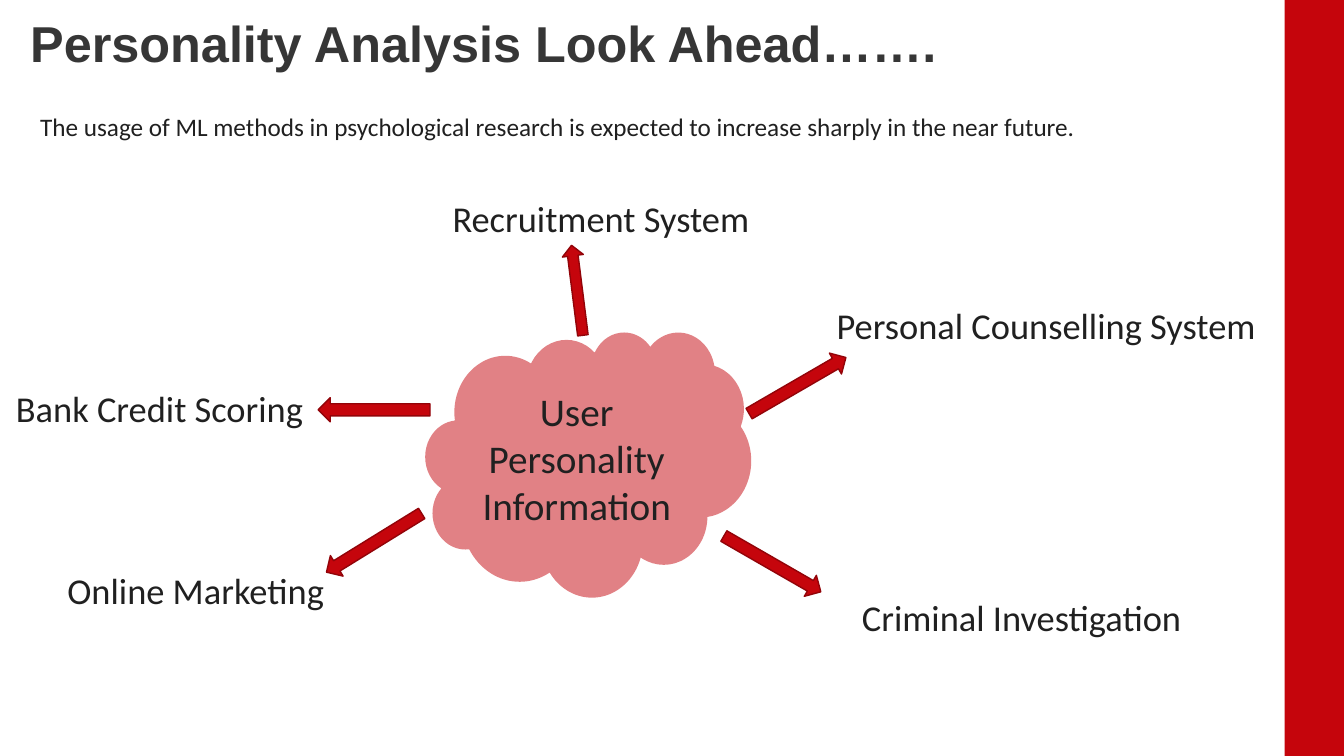
from dataclasses import dataclass

from lxml import etree
from pptx import Presentation
from pptx.dml.color import RGBColor
from pptx.enum.shapes import MSO_SHAPE
from pptx.enum.text import MSO_ANCHOR, PP_ALIGN
from pptx.oxml.ns import qn
from pptx.shapes.autoshape import Shape
from pptx.slide import Slide
from pptx.text.text import TextFrame
from pptx.util import Emu, Pt

PX = 9144  # 100 px to the inch
SLIDE_WIDTH, SLIDE_HEIGHT = 1333, 750
TITLE_ONLY_LAYOUT = 5

RED = RGBColor(0xC5, 0x05, 0x0C)
DARK_RED = RGBColor(0x92, 0x04, 0x09)
TITLE_GREY = RGBColor(0x36, 0x36, 0x36)
TEXT_GREY = RGBColor(0x20, 0x20, 0x20)

RECTANGLE, CLOUD, UP_ARROW = MSO_SHAPE.RECTANGLE, MSO_SHAPE.CLOUD, MSO_SHAPE.UP_ARROW
TOP, MIDDLE = MSO_ANCHOR.TOP, MSO_ANCHOR.MIDDLE
LEFT, CENTER = PP_ALIGN.LEFT, PP_ALIGN.CENTER


@dataclass(frozen=True)
class Box:
    left: int
    top: int
    width: int
    height: int

    def emu(self) -> tuple[Emu, Emu, Emu, Emu]:
        return (Emu(self.left * PX), Emu(self.top * PX),
                Emu(self.width * PX), Emu(self.height * PX))


@dataclass(frozen=True)
class Label:
    text: str
    box: Box
    size: int = 26


@dataclass(frozen=True)
class Arrow:
    box: Box
    rotation: float


LABELS = [
    Label("Recruitment System", Box(439, 190, 317, 54)),
    Label("Personal Counselling System", Box(820, 296, 440, 54)),
    Label("Online Marketing", Box(57, 559, 278, 54)),
    Label("Criminal Investigation", Box(845, 586, 341, 54)),
    Label("Bank Credit Scoring", Box(6, 378, 308, 54)),
    Label("The usage of ML methods in psychological research is expected "
          "to increase sharply in the near future.", Box(30, 106, 1053, 71), 18),
]

ARROWS = [
    Arrow(Box(359, 351, 24, 111), 270),
    Arrow(Box(754, 504, 24, 111), 119.9),
    Arrow(Box(359, 483, 24, 111), 238.3),
    Arrow(Box(562, 243, 21, 90), 352.8),
    Arrow(Box(779, 327, 24, 111), 59.9),
]


def write_text(frame: TextFrame, text: str, size: int, alignment: PP_ALIGN) -> None:
    frame.text = text
    paragraph = frame.paragraphs[0]
    paragraph.alignment = alignment
    paragraph.font.name = "Calibri"
    paragraph.font.size = Pt(size)
    paragraph.font.color.rgb = TEXT_GREY


def add_red_shape(slide: Slide, kind: MSO_SHAPE, box: Box) -> Shape:
    shape = slide.shapes.add_shape(kind, *box.emu())
    shape.shadow.inherit = False
    shape.fill.solid()
    shape.fill.fore_color.rgb = RED
    shape.line.fill.background()
    return shape


def format_title(slide: Slide) -> None:
    title = slide.shapes.title
    title.left, title.top, title.width, title.height = Box(30, 12, 1192, 111).emu()
    frame = title.text_frame
    frame.text = "Personality Analysis Look Ahead……."
    frame.vertical_anchor = TOP
    frame.margin_left, frame.margin_top = 0, Emu(7 * PX)
    frame.margin_right, frame.margin_bottom = Emu(10 * PX), 0
    paragraph = frame.paragraphs[0]
    paragraph.alignment = LEFT
    paragraph.line_spacing = 0.9
    paragraph.font.name = "Arial"
    paragraph.font.size = Pt(36)
    paragraph.font.bold = True
    paragraph.font.color.rgb = TITLE_GREY


def add_cloud(slide: Slide) -> None:
    cloud = add_red_shape(slide, CLOUD, Box(422, 329, 323, 263))
    color = cloud.fill._xPr.find(qn("a:solidFill")).find(qn("a:srgbClr"))
    etree.SubElement(color, qn("a:alpha")).set("val", "50000")
    frame = cloud.text_frame
    frame.word_wrap = True
    frame.vertical_anchor = MIDDLE
    write_text(frame, "User Personality Information", 28, CENTER)


def add_label(slide: Slide, label: Label) -> None:
    frame = slide.shapes.add_textbox(*label.box.emu()).text_frame
    frame.word_wrap = False
    write_text(frame, label.text, label.size, LEFT)


def add_arrow(slide: Slide, arrow: Arrow) -> None:
    shape = add_red_shape(slide, UP_ARROW, arrow.box)
    shape.line.color.rgb = DARK_RED
    shape.line.width = Pt(1)
    shape.rotation = arrow.rotation


def main() -> None:
    presentation = Presentation()
    presentation.slide_width = Emu(SLIDE_WIDTH * PX)
    presentation.slide_height = Emu(SLIDE_HEIGHT * PX)
    slide = presentation.slides.add_slide(presentation.slide_layouts[TITLE_ONLY_LAYOUT])
    add_red_shape(slide, RECTANGLE, Box(1274, 0, SLIDE_WIDTH - 1274, SLIDE_HEIGHT))
    format_title(slide)
    add_cloud(slide)
    for label in LABELS:
        add_label(slide, label)
    for arrow in ARROWS:
        add_arrow(slide, arrow)
    presentation.save("out.pptx")


if __name__ == "__main__":
    main()
